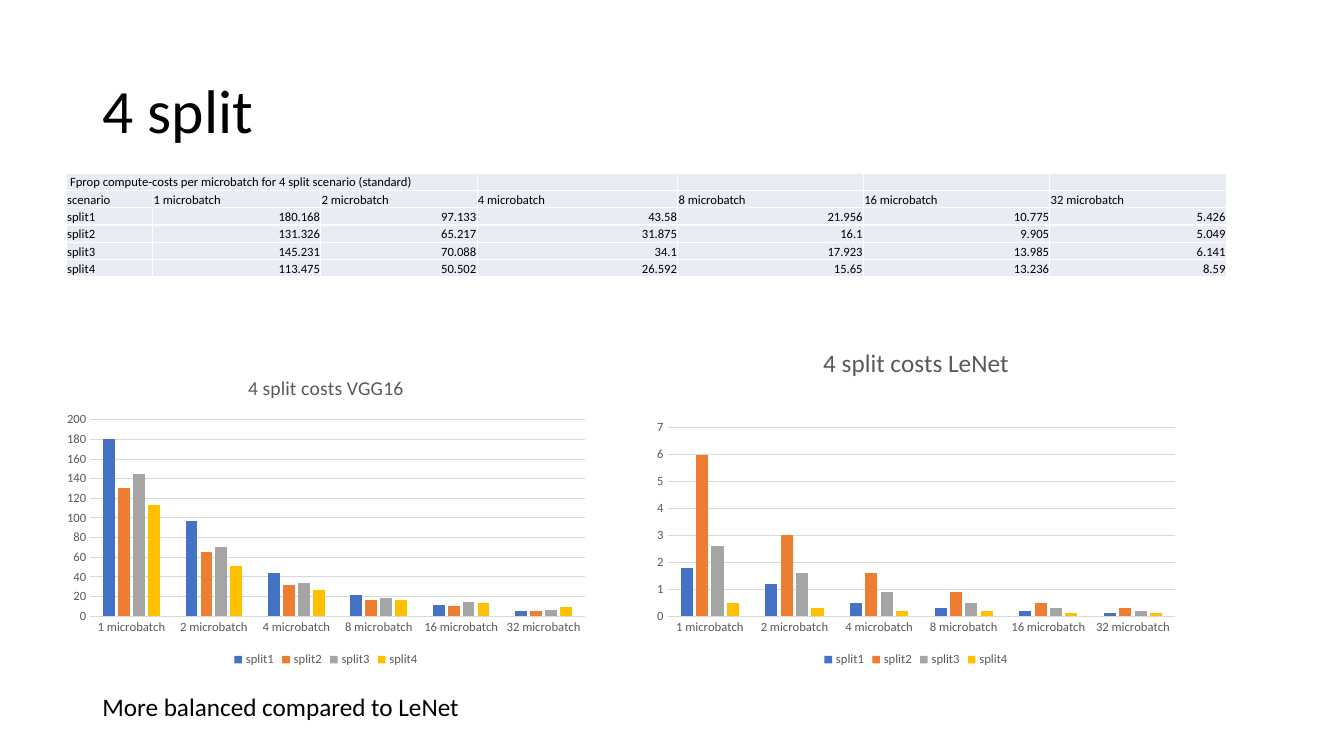
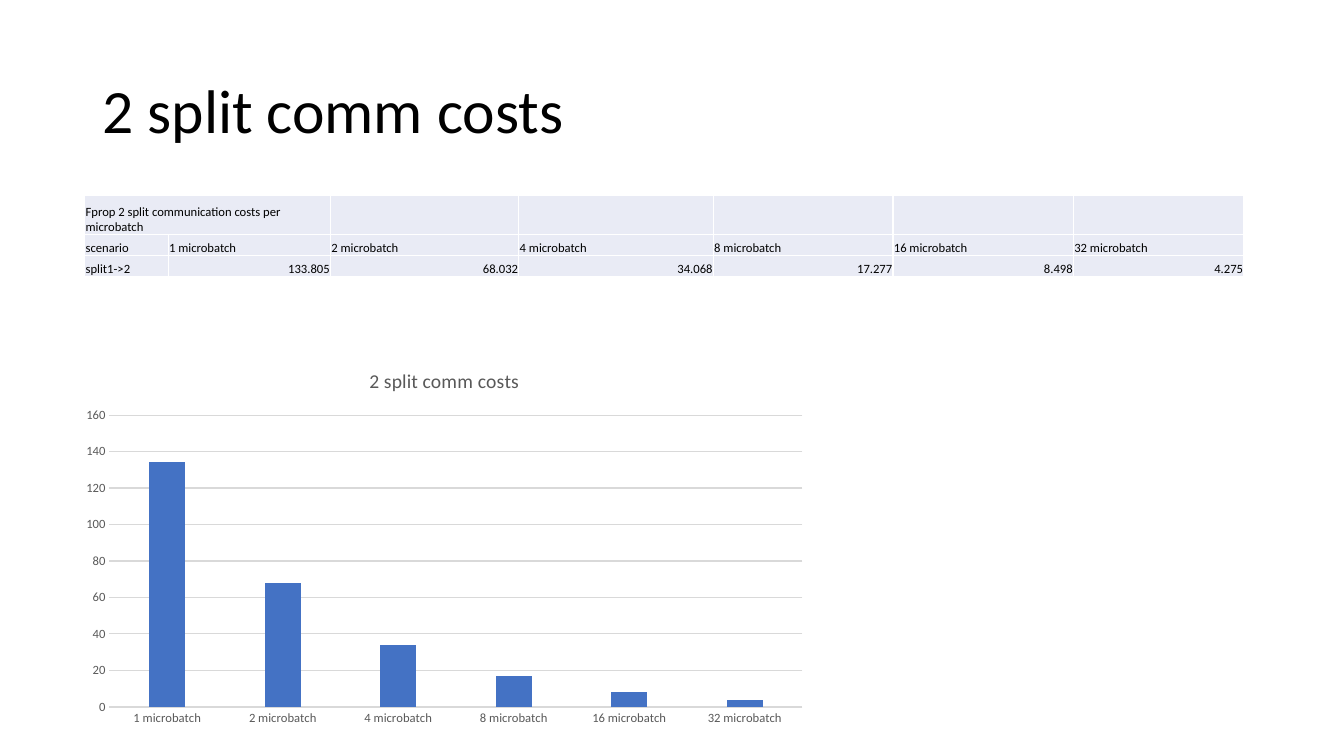
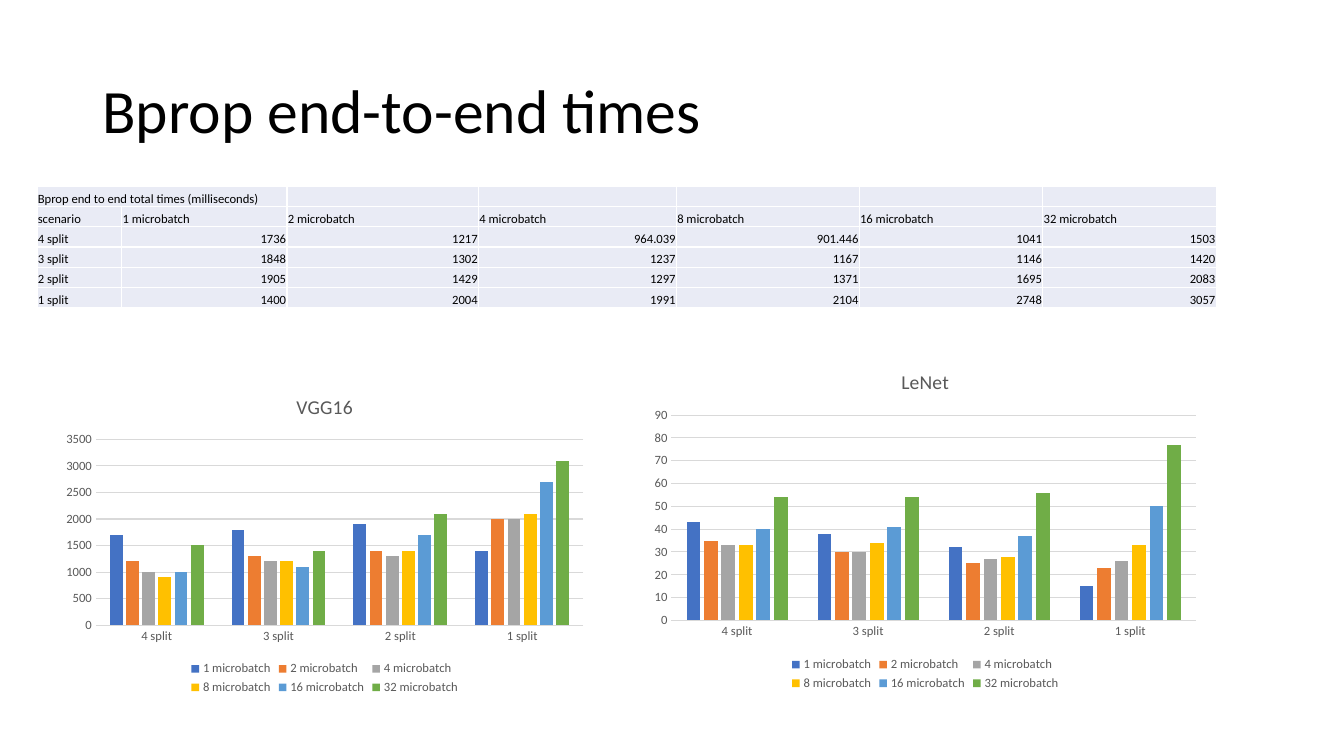
import dataclasses

import lxml.etree
import pptx
import pptx.chart.data
import pptx.dml.color
import pptx.enum.chart
import pptx.enum.text
import pptx.oxml
import pptx.oxml.ns
import pptx.util


@dataclasses.dataclass(frozen=True)
class Theme:
    """Colours and type sizes shared by all slides."""
    font: str = "Calibri"
    ink: str = "000000"
    muted: str = "595959"
    rule: str = "D9D9D9"
    cell: str = "E9EBF5"
    border: str = "FFFFFF"
    series: tuple = ("4472C4", "ED7D31", "A5A5A5", "FFC000", "5B9BD5", "70AD47")
    title_size: float = 44
    note_size: float = 18
    small_size: float = 9
    chart_size: float = 10
    chart_title_size: float = 14


def rgb(code):
    return pptx.dml.color.RGBColor.from_string(code)


class Deck:
    """Style and current slide; lengths are cells of a 160 x 90 grid."""
    COLUMNS, ROWS = 160, 90

    def __init__(self, theme):
        self.theme = theme
        self.file = pptx.Presentation()
        self.file.slide_width = pptx.util.Inches(13.33)
        self.file.slide_height = pptx.util.Inches(7.5)
        self.slide = None

    def x(self, columns):
        return round(self.file.slide_width * columns / self.COLUMNS)

    def y(self, rows):
        return round(self.file.slide_height * rows / self.ROWS)

    def box(self, left, top, width, height):
        return self.x(left), self.y(top), self.x(width), self.y(height)

    def style(self, font, size, color):
        font.name = self.theme.font
        font.size = pptx.util.Pt(size)
        font.color.rgb = rgb(color)

    def new_slide(self, heading):
        self.slide = self.file.slides.add_slide(self.file.slide_layouts[5])
        title = self.slide.shapes.title
        title.left, title.top, title.width, title.height = self.box(11, 4.8, 138, 17.4)
        title.text_frame.text = heading
        title.text_frame.vertical_anchor = pptx.enum.text.MSO_ANCHOR.MIDDLE
        paragraph = title.text_frame.paragraphs[0]
        paragraph.alignment = pptx.enum.text.PP_ALIGN.LEFT
        paragraph.line_spacing = 0.9
        self.style(paragraph.font, self.theme.title_size, self.theme.ink)

    def note(self, text, *place):
        frame = self.slide.shapes.add_textbox(*self.box(*place)).text_frame
        frame.word_wrap = True
        frame.text = text
        self.style(frame.paragraphs[0].font, self.theme.note_size, self.theme.ink)

    def table(self, left, top, widths, heights, caption, caption_span, header, records):
        rows = [[caption] + [""] * (len(header) - 1), header]
        rows += [[name, *values] for name, values in records.items()]
        grid = self.slide.shapes.add_table(
            len(rows), len(header),
            *self.box(left, top, sum(widths), sum(heights))).table
        grid.first_row = grid.horz_banding = False
        for column, width in zip(grid.columns, widths):
            column.width = self.x(width)
        for row, height in zip(grid.rows, heights):
            row.height = self.y(height)
        for r, row in enumerate(rows):
            for c, value in enumerate(row):
                self.cell(grid.cell(r, c), value)
        grid.cell(0, 0).merge(grid.cell(0, caption_span - 1))

    def cell(self, cell, value):
        cell.margin_left = cell.margin_right = cell.margin_top = self.y(0.1)
        cell.margin_bottom = 0
        cell.vertical_anchor = pptx.enum.text.MSO_ANCHOR.BOTTOM
        cell.fill.solid()
        cell.fill.fore_color.rgb = rgb(self.theme.cell)
        cell.text = str(value)
        paragraph = cell.text_frame.paragraphs[0]
        if not isinstance(value, str):
            paragraph.alignment = pptx.enum.text.PP_ALIGN.RIGHT
        self.style(paragraph.font, self.theme.small_size, self.theme.ink)
        if not value:  # keeps empty cells as low as the row
            end = lxml.etree.SubElement(paragraph._p, pptx.oxml.ns.qn("a:endParaRPr"))
            end.set("sz", str(int(self.theme.small_size * 100)))
        # Borders come before the fill
        properties = cell._tc.get_or_add_tcPr()
        for index, side in enumerate(("lnL", "lnR", "lnT", "lnB")):
            properties.insert(index, pptx.oxml.parse_xml(
                f'<a:{side} {pptx.oxml.ns.nsdecls("a")} w="{pptx.util.Pt(1)}"><a:solidFill>'
                f'<a:srgbClr val="{self.theme.border}"/></a:solidFill></a:{side}>'))

    def chart(self, place, heading, categories, series, top_value, step,
              title_size=None, plot=None):
        theme = self.theme
        data = pptx.chart.data.CategoryChartData()
        data.categories = categories
        for name, values in series.items():
            data.add_series(name, values)
        chart = self.slide.shapes.add_chart(
            pptx.enum.chart.XL_CHART_TYPE.COLUMN_CLUSTERED, *self.box(*place), data).chart
        self.style(chart.font, theme.chart_size, theme.ink)

        # Title and legend
        title = chart.chart_title.text_frame
        title.text = heading
        self.style(title.paragraphs[0].font, title_size or theme.chart_title_size, theme.muted)
        title.paragraphs[0].font.bold = False
        chart.chart_title.include_in_layout = False
        chart.has_legend = len(series) > 1
        if chart.has_legend:
            chart.legend.position = pptx.enum.chart.XL_LEGEND_POSITION.BOTTOM
            chart.legend.include_in_layout = False
            self.style(chart.legend.font, theme.small_size, theme.muted)

        # Axes
        for axis in (chart.category_axis, chart.value_axis):
            axis.major_tick_mark = axis.minor_tick_mark = pptx.enum.chart.XL_TICK_MARK.NONE
            self.style(axis.tick_labels.font, theme.small_size, theme.muted)
        chart.value_axis.minimum_scale = 0
        chart.value_axis.maximum_scale = top_value
        chart.value_axis.major_unit = step
        chart.value_axis.format.line.fill.background()
        for line in (chart.category_axis.format.line,
                     chart.value_axis.major_gridlines.format.line):
            line.color.rgb = rgb(theme.rule)
            line.width = pptx.util.Pt(0.75)

        # Columns
        columns = chart.plots[0]
        columns.gap_width, columns.overlap = 219, -27
        columns.vary_by_categories = False
        for bars, color in zip(columns.series, theme.series):
            bars.format.fill.solid()
            bars.format.fill.fore_color.rgb = rgb(color)
        if plot:
            self.place_plot(chart, plot)

    def place_plot(self, chart, shares):
        """Fix the inner plot area at shares of the chart's size."""
        area = chart._chartSpace.chart.plotArea
        for old in area.findall(pptx.oxml.ns.qn("c:layout")):
            area.remove(old)
        sizes = "".join(f'<c:{key} val="{share}"/>' for key, share in zip("xywh", shares))
        area.insert(0, pptx.oxml.parse_xml(
            f'<c:layout {pptx.oxml.ns.nsdecls("c")}><c:manualLayout>'
            '<c:layoutTarget val="inner"/><c:xMode val="edge"/><c:yMode val="edge"/>'
            f'{sizes}</c:manualLayout></c:layout>'))


# Measurements
BATCHES = [f"{2 ** power} microbatch" for power in range(6)]
HEADER = ["scenario", *BATCHES]
FPROP_COSTS = {
    "split1": [180.168, 97.133, 43.58, 21.956, 10.775, 5.426],
    "split2": [131.326, 65.217, 31.875, 16.1, 9.905, 5.049],
    "split3": [145.231, 70.088, 34.1, 17.923, 13.985, 6.141],
    "split4": [113.475, 50.502, 26.592, 15.65, 13.236, 8.59],
}
LENET_COSTS = {
    "split1": [1.8, 1.2, 0.5, 0.3, 0.2, 0.1],
    "split2": [6, 3, 1.6, 0.9, 0.5, 0.3],
    "split3": [2.6, 1.6, 0.9, 0.5, 0.3, 0.2],
    "split4": [0.5, 0.3, 0.2, 0.2, 0.1, 0.1],
}
COMM_COSTS = {"split1->2": [133.805, 68.032, 34.068, 17.277, 8.498, 4.275]}
BPROP_TIMES = {
    "4 split": [1736, 1217, 964.039, 901.446, 1041, 1503],
    "3 split": [1848, 1302, 1237, 1167, 1146, 1420],
    "2 split": [1905, 1429, 1297, 1371, 1695, 2083],
    "1 split": [1400, 2004, 1991, 2104, 2748, 3057],
}
LENET_TIMES = {
    "4 split": [43, 35, 33, 33, 40, 54],
    "3 split": [38, 30, 30, 34, 41, 54],
    "2 split": [32, 25, 27, 28, 37, 56],
    "1 split": [15, 23, 26, 33, 50, 77],
}


def rounded(records, unit=1):
    return {name: [round(value / unit) * unit for value in values]
            for name, values in records.items()}


def by_batch(records):
    return dict(zip(BATCHES, zip(*records.values())))


def column_widths(total):
    return [total * share / 100 for share in (7.2, 14, 16.25, 16.78, 15.5, 15.57, 14.7)]


def main():
    deck = Deck(Theme())

    # Forward costs, four splits
    deck.new_slide("4 split")
    deck.table(7.9, 20.6, [10.3, 20, 18.6, 23.9, 22.1, 22.2, 21], [2.06] * 6,
               " Fprop compute-costs per microbatch for 4 split scenario (standard)", 3,
               HEADER, FPROP_COSTS)
    deck.chart((6.7, 42.7, 64.2, 37.2), "4 split costs VGG16", BATCHES,
               rounded(FPROP_COSTS), 200, 20)
    deck.chart((76.9, 39.1, 64.3, 40.8), "4 split costs LeNet", BATCHES,
               LENET_COSTS, 7, 1, title_size=18, plot=(0.04, 0.29, 0.94, 0.55))
    deck.note("More balanced compared to LeNet", 11, 81.7, 64.2, 4.8)

    # Communication costs, two splits
    deck.new_slide("2 split comm costs")
    deck.table(10.1, 23.3, column_widths(138), [4.65, 2.5, 2.5],
               "Fprop 2 split communication costs per microbatch", 2, HEADER, COMM_COSTS)
    deck.chart((8.5, 41.8, 88.8, 45.5), "2 split comm costs", BATCHES,
               {"Series 1": rounded(COMM_COSTS)["split1->2"]}, 160, 20)

    # Backward times
    deck.new_slide("Bprop end-to-end times")
    deck.table(4.4, 22.2, column_widths(140.4), [2.4] * 6,
               "Bprop end to end total times (milliseconds)", 2, HEADER, BPROP_TIMES)
    deck.chart((6.6, 45, 64.1, 38.2), "VGG16", list(BPROP_TIMES),
               by_batch(rounded(BPROP_TIMES, 100)), 3500, 500)
    deck.chart((76.6, 42, 67.1, 40.7), "LeNet", list(LENET_TIMES),
               by_batch(LENET_TIMES), 90, 10)

    deck.file.save("out.pptx")


if __name__ == "__main__":
    main()
